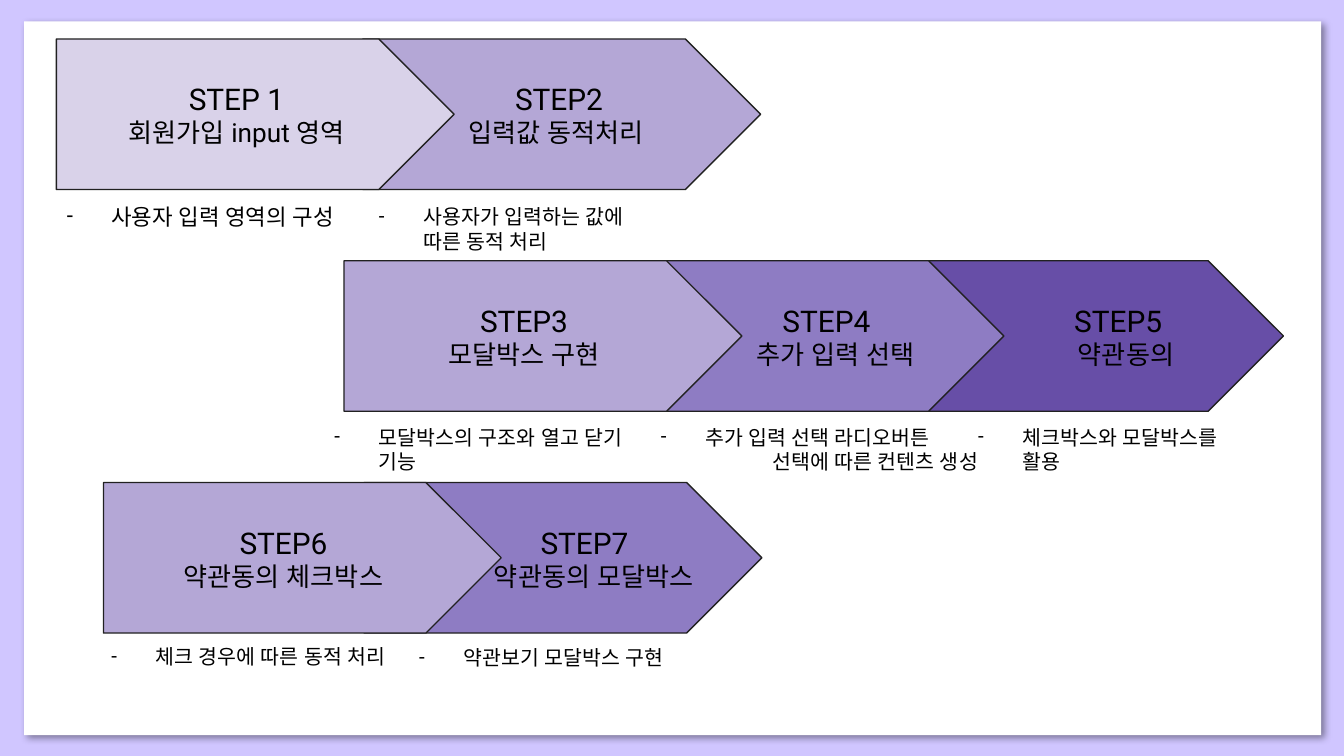
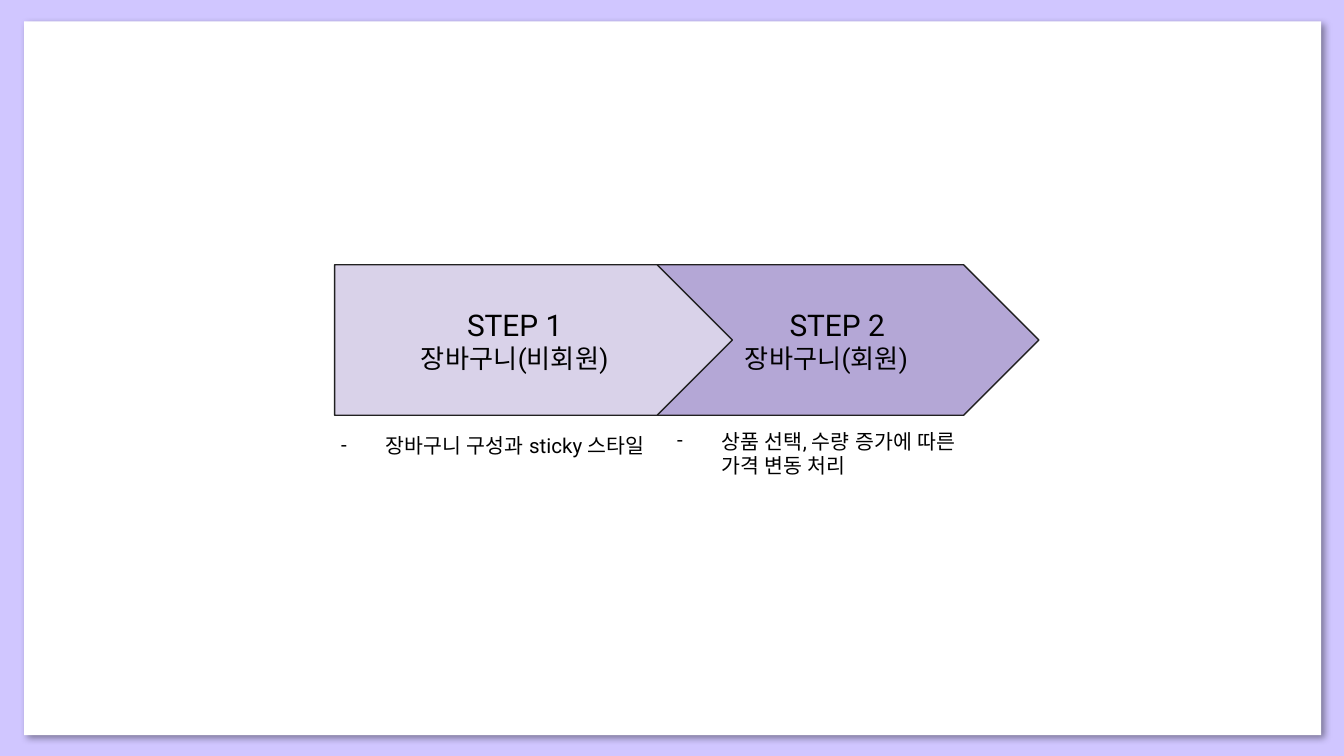
from dataclasses import dataclass

from lxml import etree
from pptx import Presentation
from pptx.dml.color import RGBColor
from pptx.enum.shapes import MSO_SHAPE
from pptx.enum.text import MSO_ANCHOR, MSO_AUTO_SIZE, PP_ALIGN
from pptx.oxml.ns import qn
from pptx.util import Inches, Pt

RECTANGLE, PENTAGON = MSO_SHAPE.RECTANGLE, MSO_SHAPE.PENTAGON
CENTER, MIDDLE = PP_ALIGN.CENTER, MSO_ANCHOR.MIDDLE
GROW = MSO_AUTO_SIZE.SHAPE_TO_FIT_TEXT


class Theme:
    font = "Roboto"
    backdrop, card = "D0C6FF", "FFFFFF"
    text, outline = "000000", "212121"
    pale, light, medium, dark = "D9D2E9", "B4A7D6", "8E7CC3", "674EA7"
    step_size, label_size, note_size = 16, 14, 11


@dataclass
class Step:
    left: float
    fill: str
    title: str
    label: str
    note: list
    note_left: float
    note_width: float = 3.03
    shifts: tuple = (0, 0)  # left indents of title and label
    margins: tuple = (0.5, 0.5)  # left indents of the note's lines
    note_size: int = Theme.note_size
    note_drop: float = 1.12


# Slide grid, in inches
WIDTH = 10
HEIGHT = WIDTH * 9 / 16
ARROW_WIDTH, ARROW_HEIGHT = 2.96, 1.12
FIRST_ROW, ROW_PITCH = 0.29, 1.65
HANGING = -0.33

# Each page is a list of rows: (top, steps from left to right)
signup_rows = [
    [
        Step(0.42, Theme.pale, "STEP 1", "회원가입 input 영역",
             ["사용자 입력 영역의 구성"], 0.23, note_size=12),
        Step(2.7, Theme.light, "STEP2", "입력값 동적처리",
             ["사용자가 입력하는 값에", "따른 동적 처리"], 2.55, 3.45,
             shifts=(0.24, 0.2), note_drop=1.13),
    ],
    [
        Step(2.56, Theme.light, "STEP3", "모달박스 구현",
             ["모달박스의 구조와 열고 닫기", "기능"], 2.22),
        Step(4.51, Theme.medium, "STEP4", "추가 입력 선택",
             ["추가 입력 선택 라디오버튼", "선택에 따른 컨텐츠 생성"], 4.65,
             shifts=(0.6, 0.74), margins=(0.5, 1)),
        Step(6.59, Theme.dark, "STEP5", "약관동의",
             ["체크박스와 모달박스를", "활용"], 7.01, 2.66, shifts=(0.78, 0.9)),
    ],
    [
        Step(0.77, Theme.light, "STEP6", "약관동의 체크박스",
             ["체크 경우에 따른 동적 처리"], 0.56, note_drop=1.11),
        Step(2.71, Theme.medium, "STEP7", "약관동의 모달박스",
             ["약관보기 모달박스 구현"], 2.85, shifts=(0.6, 0.74)),
    ],
]
cart_steps = [
    Step(2.49, Theme.pale, "STEP 1", "장바구니(비회원)",
         ["장바구니 구성과 sticky 스타일"], 1.77, 3.49,
         margins=(1,), note_drop=1.16),
    Step(4.77, Theme.light, "STEP 2", "장바구니(회원)",
         ["상품 선택, 수량 증가에 따른", "가격 변동 처리"], 4.77, 3.45,
         shifts=(0.24, 0.08)),
]
pages = [
    [(FIRST_ROW + row * ROW_PITCH, steps) for row, steps in enumerate(signup_rows)],
    [(1.97, cart_steps)],
]


def add_block(page, preset, area, fill):
    block = page.shapes.add_shape(preset, *(Inches(length) for length in area))
    block.shadow.inherit = False
    block.fill.solid()
    block.fill.fore_color.rgb = RGBColor.from_string(fill)
    return block


def write_lines(box, lines, sizes, margins, bullet=False):
    frame = box.text_frame
    frame.word_wrap = True
    frame.margin_left = frame.margin_right = Inches(0.1)
    frame.margin_top = frame.margin_bottom = Inches(0.1)
    frame.text = "\n".join(lines)
    for index, para in enumerate(frame.paragraphs):
        props = para._p.get_or_add_pPr()
        dashed = bullet and index == 0
        props.set("marL", str(Inches(margins[index])))
        props.set("indent", str(Inches(HANGING if dashed else 0)))
        if dashed:
            color = etree.SubElement(props, qn("a:buClr"))
            etree.SubElement(color, qn("a:srgbClr"), val=Theme.text)
            etree.SubElement(props, qn("a:buFont"), typeface=Theme.font)
            etree.SubElement(props, qn("a:buChar"), char="-")
        for span in para.runs:
            span.font.size = Pt(sizes[index])
            span.font.color.rgb = RGBColor.from_string(Theme.text)
            span.font.name = Theme.font
            for script in ("a:ea", "a:cs"):
                etree.SubElement(span.font._element, qn(script), typeface=Theme.font)
    return frame


deck = Presentation()
deck.slide_width, deck.slide_height = Inches(WIDTH), Inches(HEIGHT)

# Shared backdrop
backdrop = deck.slide_master.background.fill
backdrop.solid()
backdrop.fore_color.rgb = RGBColor.from_string(Theme.backdrop)

for rows in pages:
    page = deck.slides.add_slide(deck.slide_layouts[6])

    # White card with a soft shadow
    card = add_block(page, RECTANGLE, (0.18, 0.16, 9.65, 5.31), Theme.card)
    card.line.fill.background()
    effects = card._element.spPr.find(qn("a:effectLst"))
    shadow = etree.SubElement(effects, qn("a:outerShdw"), blurRad=str(Pt(4)),
                              dist=str(Pt(3)), dir=str(45 * 60000),
                              algn="bl", rotWithShape="0")
    shade = etree.SubElement(shadow, qn("a:srgbClr"), val=Theme.text)
    etree.SubElement(shade, qn("a:alpha"), val="40000")

    for top, steps in rows:
        # Arrows, from the right so that each one overlaps the next
        for step in reversed(steps):
            area = (step.left, top, ARROW_WIDTH, ARROW_HEIGHT)
            arrow = add_block(page, PENTAGON, area, step.fill)
            arrow.adjustments[0] = 0.5
            arrow.line.color.rgb = RGBColor.from_string(Theme.outline)
            arrow.line.width = Pt(0.75)
            frame = write_lines(arrow, [step.title, step.label],
                                (Theme.step_size, Theme.label_size), step.shifts)
            frame.vertical_anchor = MIDDLE
            for para in frame.paragraphs:
                para.alignment = CENTER

        # Notes below the arrows
        for step in steps:
            height = 0.39 if len(step.note) == 1 else 0.57
            note = page.shapes.add_textbox(
                Inches(step.note_left), Inches(top + step.note_drop),
                Inches(step.note_width), Inches(height))
            frame = write_lines(note, step.note, [step.note_size] * len(step.note),
                                step.margins, bullet=True)
            frame.auto_size = GROW

deck.save("out.pptx")
